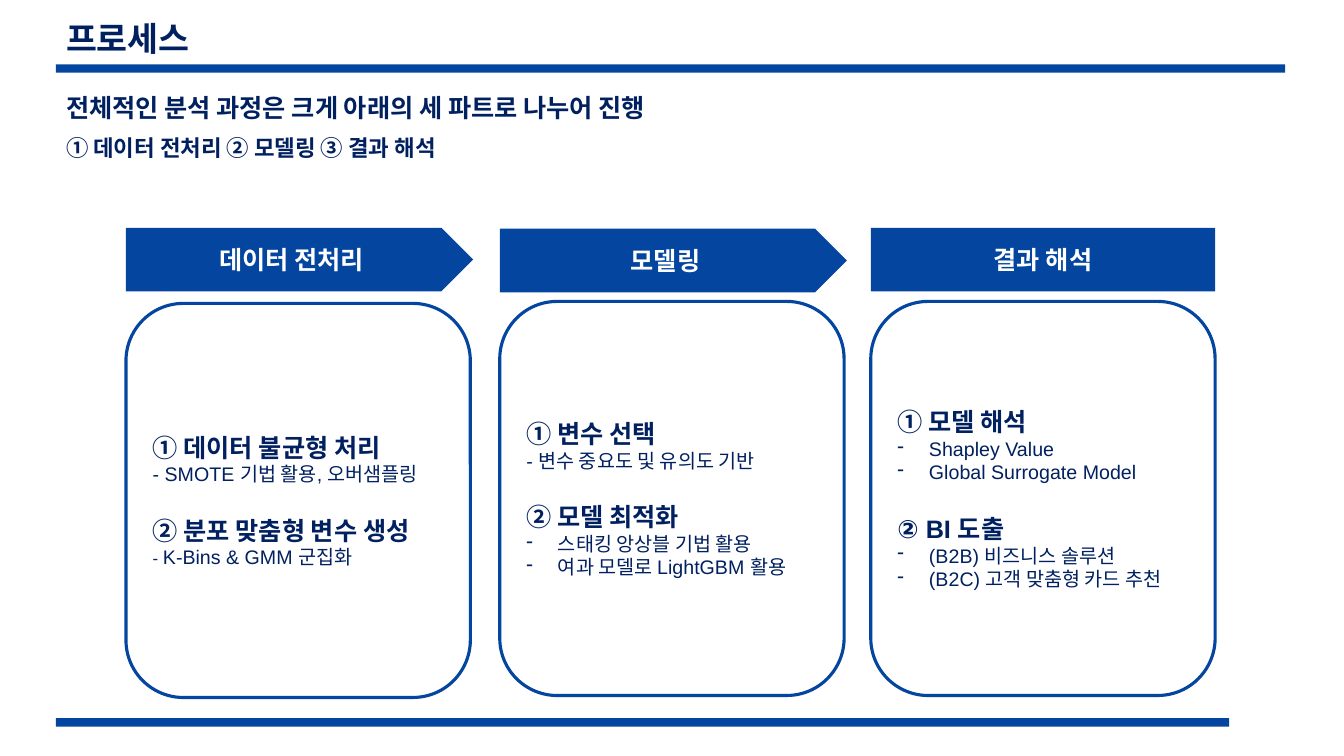
from lxml.etree import SubElement
from pptx import Presentation
from pptx.dml.color import RGBColor
from pptx.enum.shapes import MSO_SHAPE
from pptx.enum.text import MSO_ANCHOR, MSO_AUTO_SIZE, PP_ALIGN
from pptx.oxml.ns import qn
from pptx.util import Pt

COLORS = {"blue": "04469F", "navy": "002060", "white": "FFFFFF"}
KOREAN = "Noto Sans CJK KR"
LATIN = "Arial"


def assign(target, values):
    for name, value in values.items():
        setattr(target, name, value)


class ProcessSlide:
    def __init__(self, deck):
        self.page = deck.slides.add_slide(deck.slide_layouts[1])
        self.heading = {"size": Pt(18), "bold": True}
        self.detail = {"size": Pt(14), "bold": False}
        self.small = {"size": Pt(12), "bold": False}

    def color(self, name):
        return RGBColor.from_string(COLORS[name])

    def place(self, box, left, top, width, height):
        assign(box, {"left": Pt(left), "top": Pt(top), "width": Pt(width), "height": Pt(height)})

    def span(self, para, text, style, font=KOREAN, color="navy"):
        span = para.add_run()
        span.text = text
        assign(span.font, {"name": font, **style})
        span.font.color.rgb = self.color(color)
        SubElement(span.font._element, qn("a:ea")).set("typeface", KOREAN)

    def bullet(self, para, symbol=None, indent=0):
        properties = para._p.get_or_add_pPr()
        properties.set("marL", str(Pt(indent)))
        properties.set("indent", str(-Pt(indent)))
        if symbol:
            SubElement(properties, qn("a:buChar")).set("char", symbol)
        else:
            SubElement(properties, qn("a:buNone"))

    def placeholder(self, index, area, anchor, lines, before=0):
        box = self.page.placeholders[index]
        self.place(box, *area)
        frame = box.text_frame
        assign(frame, {"auto_size": MSO_AUTO_SIZE.NONE, "word_wrap": True, "vertical_anchor": anchor})
        for number, (text, size) in enumerate(lines):
            para = frame.add_paragraph() if number else frame.paragraphs[0]
            assign(para, {"alignment": PP_ALIGN.LEFT, "line_spacing": 0.9, "space_before": Pt(before)})
            self.bullet(para)
            self.span(para, text, {"size": Pt(size), "bold": True})

    def shape(self, kind, area, fill=None, line=None):
        box = self.page.shapes.add_shape(kind, *map(Pt, area))
        box.shadow.inherit = False
        if fill:
            box.fill.solid()
            box.fill.fore_color.rgb = self.color(fill)
        else:
            box.fill.background()
        if line:
            box.line.color.rgb = self.color(line)
            box.line.width = Pt(2.25)
        else:
            box.line.fill.background()
        assign(box.text_frame, {"word_wrap": True, "vertical_anchor": MSO_ANCHOR.MIDDLE})
        return box

    def bar(self, top, width):
        self.shape(MSO_SHAPE.RECTANGLE, (40, top, width, 6), fill="blue")

    def header(self, kind, area, text):
        para = self.shape(kind, area, fill="blue").text_frame.paragraphs[0]
        para.alignment = PP_ALIGN.CENTER
        self.span(para, text, self.heading, color="white")

    def panel(self, area, sections):
        frame = self.shape(MSO_SHAPE.ROUNDED_RECTANGLE, area, line="blue").text_frame
        for number, (heading, bulleted, details) in enumerate(sections):
            para = frame.add_paragraph() if number else frame.paragraphs[0]
            assign(para, {"alignment": PP_ALIGN.LEFT, "space_before": Pt(21 * number)})
            self.span(para, heading, self.heading, LATIN)
            for detail in details:
                para = frame.add_paragraph()
                para.alignment = PP_ALIGN.LEFT
                if bulleted:
                    self.bullet(para, "-", 22.5)
                for text, style in detail:
                    self.span(para, text, getattr(self, style), LATIN)


def main():
    deck = Presentation()
    assign(deck, {"slide_width": Pt(960), "slide_height": Pt(540)})
    slide = ProcessSlide(deck)
    slide.placeholder(0, (40, 12, 878, 34), MSO_ANCHOR.MIDDLE, [("프로세스", 24)])
    slide.bar(46, 878)
    slide.bar(513, 838)
    slide.placeholder(1, (40, 65, 878, 82), MSO_ANCHOR.TOP, [
        ("전체적인 분석 과정은 크게 아래의 세 파트로 나누어 진행", 18),
        ("① 데이터 전처리 ② 모델링 ③ 결과 해석", 16),
    ], before=10)

    stages = [
        ("데이터 전처리", MSO_SHAPE.PENTAGON, 90, 248, 162.7, 216.7, [
            ("① 데이터 불균형 처리", False, [[("- SMOTE 기법 활용, 오버샘플링", "detail")]]),
            ("② 분포 맞춤형 변수 생성", False, [[("- ", "small"), ("K-Bins & GMM 군집화", "detail")]]),
        ]),
        ("모델링", MSO_SHAPE.PENTAGON, 357, 248, 163.4, 215.3, [
            ("① 변수 선택", False, [[("- 변수 중요도 및 유의도 기반", "detail")]]),
            ("② 모델 최적화", True, [
                [("스태킹 앙상블 기법 활용", "detail")],
                [("여과 모델로 LightGBM 활용", "detail")],
            ]),
        ]),
        ("결과 해석", MSO_SHAPE.RECTANGLE, 622, 246, 162.7, 215.3, [
            ("① 모델 해석", True, [
                [("Shapley Value", "detail")],
                [("Global Surrogate Model", "detail")],
            ]),
            ("② BI 도출", True, [
                [("(B2B) 비즈니스 솔루션", "detail")],
                [("(B2C) 고객 맞춤형 카드 추천", "detail")],
            ]),
        ]),
    ]
    for title, kind, left, width, header_top, panel_top, sections in stages:
        slide.panel((left, panel_top, 246, 281.5), sections)
        slide.header(kind, (left, header_top, width, 45.4), title)
    deck.save("out.pptx")


if __name__ == "__main__":
    main()
